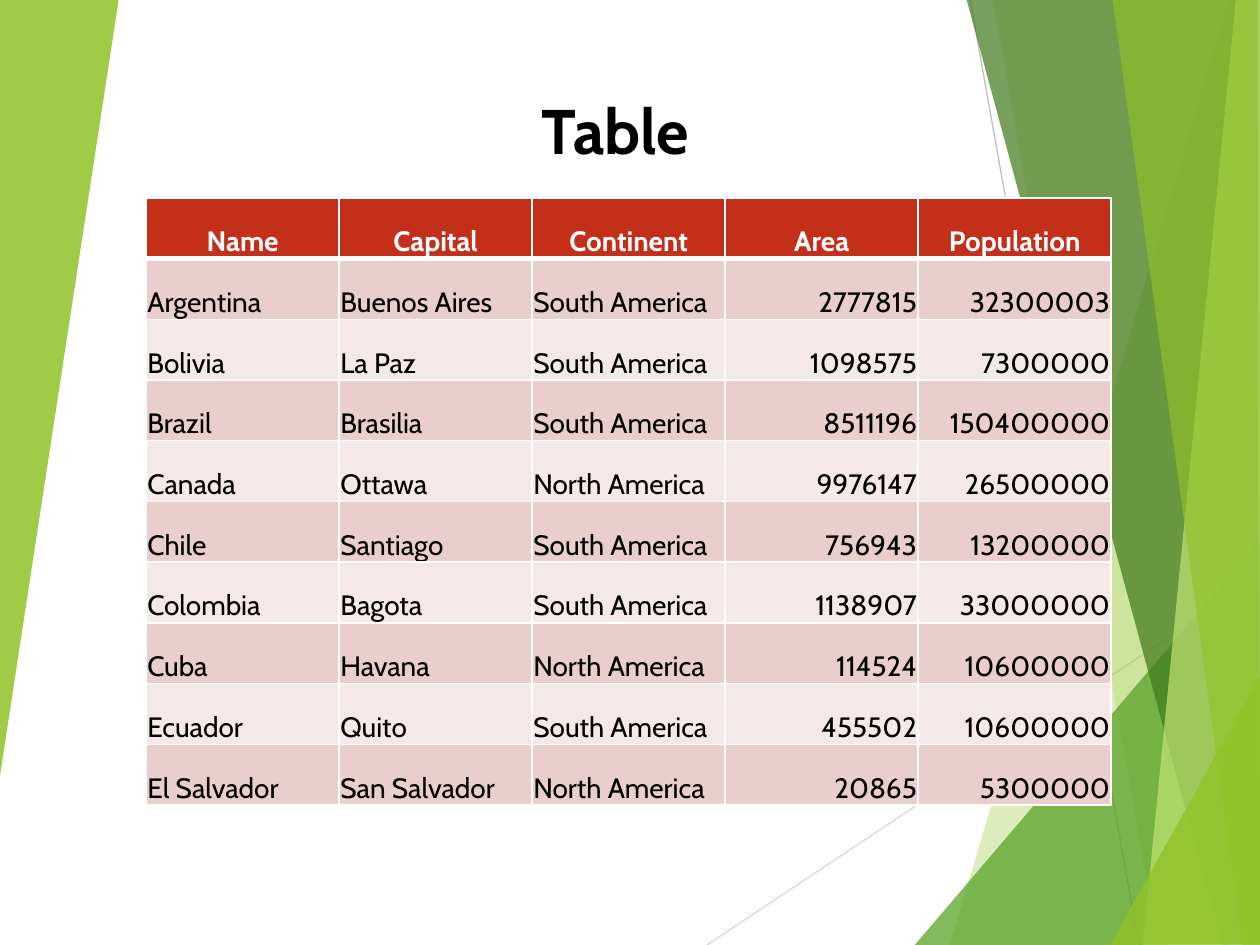
from dataclasses import dataclass

from lxml import etree
from pptx import Presentation
from pptx import util as u
from pptx.dml.color import RGBColor
from pptx.enum import shapes, text
from pptx.oxml.ns import qn


@dataclass(frozen=True)
class Theme:
    font: str = "Cabin"
    title_size: int = 36
    table_size: int = 16
    ink: str = "000000"
    white: str = "FFFFFF"
    header: str = "C42F1A"
    bands: tuple = ("EACDCD", "F5E8E8")
    green: str = "90C226"
    leaf: str = "54A021"
    forest: str = "3F7819"
    lime: str = "C0E474"
    light_line: str = "D9D9D9"
    mid_line: str = "BFBFBF"


THEME = Theme()

LINES = [
    ((5.61, 7.5), (10.01, 4.57), THEME.light_line),
    ((7.7, 0), (9.04, 7.5), THEME.mid_line),
]

FACETS = [
    (THEME.green, 30, [(9.75, 0), (7.54, 7.5), (10.02, 7.51), (10.01, 0.01)]),
    (THEME.green, 20, [(7.88, -0.01), (9.19, 7.5), (10.01, 7.5), (10.01, -0.01)]),
    (THEME.leaf, 72, [(7.26, 7.5), (10, 4.29), (10.01, 7.5)]),
    (THEME.forest, 70, [(7.67, -0.01), (9.7, 7.5), (10.01, 7.49), (10.01, -0.01)]),
    (THEME.lime, 70, [(9.81, -0.01), (9.07, 7.5), (10.01, 7.5), (10, -0.01)]),
    (THEME.green, 65, [(8.83, -0.01), (9.86, 7.5), (10, 7.5), (9.98, -0.01)]),
    (THEME.green, 80, [(8.81, 7.5), (10.01, 5.35), (10.01, 7.49)]),
    (THEME.green, 85, [(-0.01, 0), (0.94, -0.01), (0.94, 0.01), (-0.01, 6.22)]),
]

COUNTRIES = [
    ("Name", "Capital", "Continent", "Area", "Population"),
    ("Argentina", "Buenos Aires", "South America", "2777815", "32300003"),
    ("Bolivia", "La Paz", "South America", "1098575", "7300000"),
    ("Brazil", "Brasilia", "South America", "8511196", "150400000"),
    ("Canada", "Ottawa", "North America", "9976147", "26500000"),
    ("Chile", "Santiago", "South America", "756943", "13200000"),
    ("Colombia", "Bagota", "South America", "1138907", "33000000"),
    ("Cuba", "Havana", "North America", "114524", "10600000"),
    ("Ecuador", "Quito", "South America", "455502", "10600000"),
    ("El Salvador", "San Salvador", "North America", "20865", "5300000"),
]


def add_line(page, start, end, color):
    ends = [u.Inches(value) for value in (*start, *end)]
    line = page.shapes.add_connector(shapes.MSO_CONNECTOR.STRAIGHT, *ends)
    line.line.color.rgb = RGBColor.from_string(color)
    line.line.width = u.Pt(0.75)
    etree.SubElement(line._element.spPr, qn("a:effectLst"))


def add_facet(page, color, opacity, corners):
    points = [(u.Inches(x), u.Inches(y)) for x, y in corners]
    builder = page.shapes.build_freeform(*points[0])
    builder.add_line_segments(points[1:], close=True)
    facet = builder.convert_to_shape()
    facet.shadow.inherit = False
    facet.line.fill.background()
    facet.fill.solid()
    facet.fill.fore_color.rgb = RGBColor.from_string(color)
    tint = facet._element.spPr.find(".//" + qn("a:srgbClr"))
    etree.SubElement(tint, qn("a:alpha")).set("val", str(opacity * 1000))


def write(para, words, size, color, bold, align):
    para.alignment = align
    span = para.add_run()
    span.text = words
    span.font.name = THEME.font
    span.font.size = u.Pt(size)
    span.font.bold = bold
    span.font.color.rgb = RGBColor.from_string(color)


def add_title(page, words):
    box = page.shapes.title
    box.left, box.top = u.Inches(3.82), u.Inches(0.68)
    box.width, box.height = u.Inches(2.13), u.Inches(0.71)
    frame = box.text_frame
    frame.word_wrap = True
    frame.auto_size = text.MSO_AUTO_SIZE.SHAPE_TO_FIT_TEXT
    frame.vertical_anchor = text.MSO_ANCHOR.TOP
    write(frame.paragraphs[0], words, THEME.title_size, THEME.ink, True,
          text.PP_ALIGN.CENTER)


def set_borders(cell, top, bottom):
    props = cell._tc.get_or_add_tcPr()
    for side, points in (("L", 1), ("R", 1), ("T", top), ("B", bottom)):
        edge = etree.SubElement(props, qn(f"a:ln{side}"), w=str(u.Pt(points)))
        fill = etree.SubElement(edge, qn("a:solidFill"))
        etree.SubElement(fill, qn("a:srgbClr"), val=THEME.white)


def fill_cell(cell, words, row, column):
    is_header = row == 0
    cell.margin_left = cell.margin_right = cell.margin_top = u.Inches(0.01)
    cell.margin_bottom = 0
    cell.vertical_anchor = text.MSO_ANCHOR.BOTTOM
    set_borders(cell, 3 if row == 1 else 1, 3 if is_header else 1)
    fill = THEME.header if is_header else THEME.bands[(row - 1) % 2]
    cell.fill.solid()
    cell.fill.fore_color.rgb = RGBColor.from_string(fill)
    if is_header:
        align = text.PP_ALIGN.CENTER
    else:
        align = text.PP_ALIGN.LEFT if column < 3 else text.PP_ALIGN.RIGHT
    write(cell.text_frame.paragraphs[0], words, THEME.table_size,
          THEME.white if is_header else THEME.ink, is_header, align)


def add_country_table(page, rows):
    frame = page.shapes.add_table(len(rows), len(rows[0]), u.Inches(1.16),
                                  u.Inches(1.57), u.Inches(7.66), u.Inches(4.82))
    for row, values in enumerate(rows):
        for column, words in enumerate(values):
            fill_cell(frame.table.cell(row, column), words, row, column)


def main():
    deck = Presentation()
    deck.slide_width, deck.slide_height = u.Inches(10), u.Inches(7.5)
    page = deck.slides.add_slide(deck.slide_layouts.get_by_name("Title Only"))
    for line in LINES:
        add_line(page, *line)
    for facet in FACETS:
        add_facet(page, *facet)
    add_country_table(page, COUNTRIES)
    add_title(page, "Table")
    deck.save("out.pptx")


if __name__ == "__main__":
    main()
